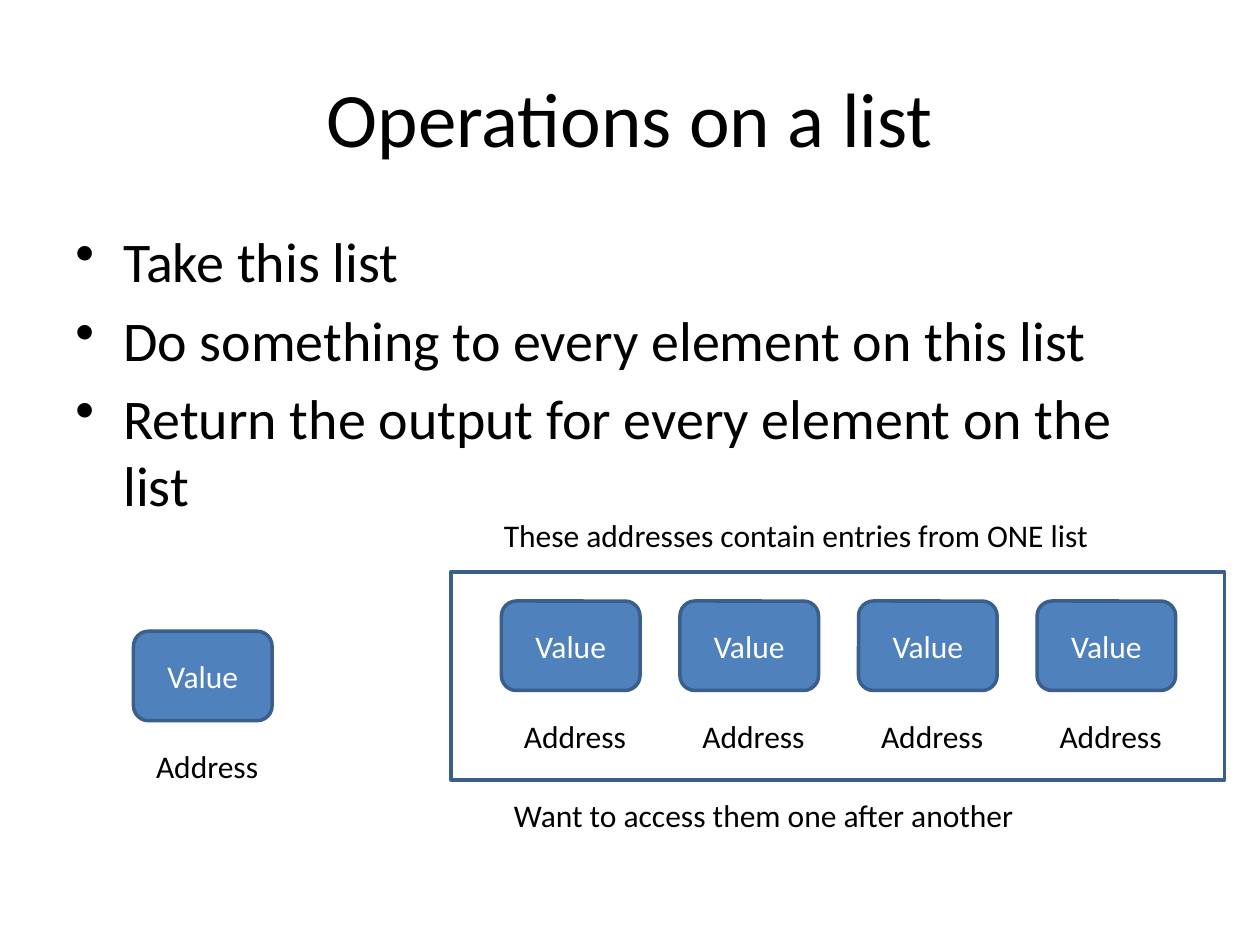
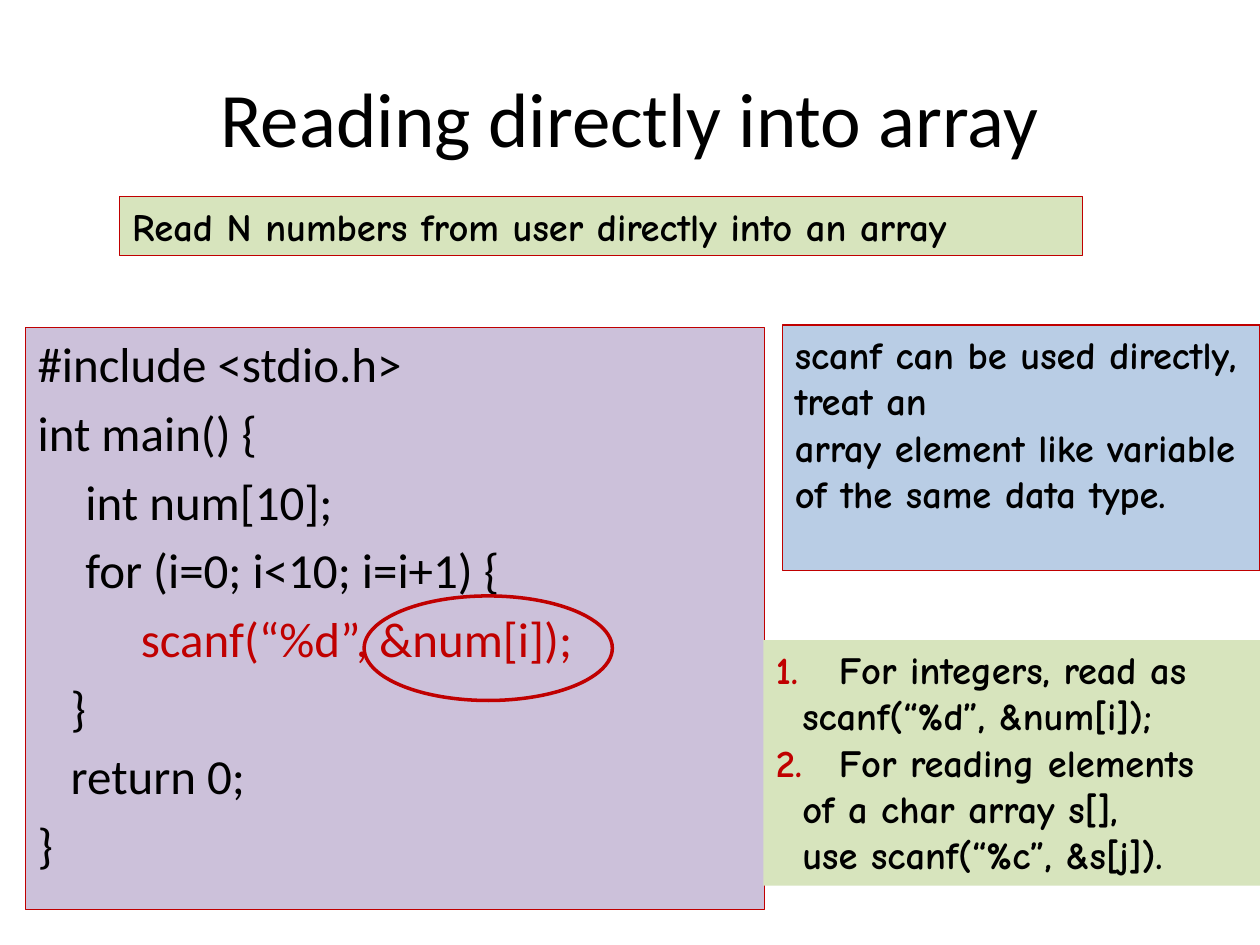
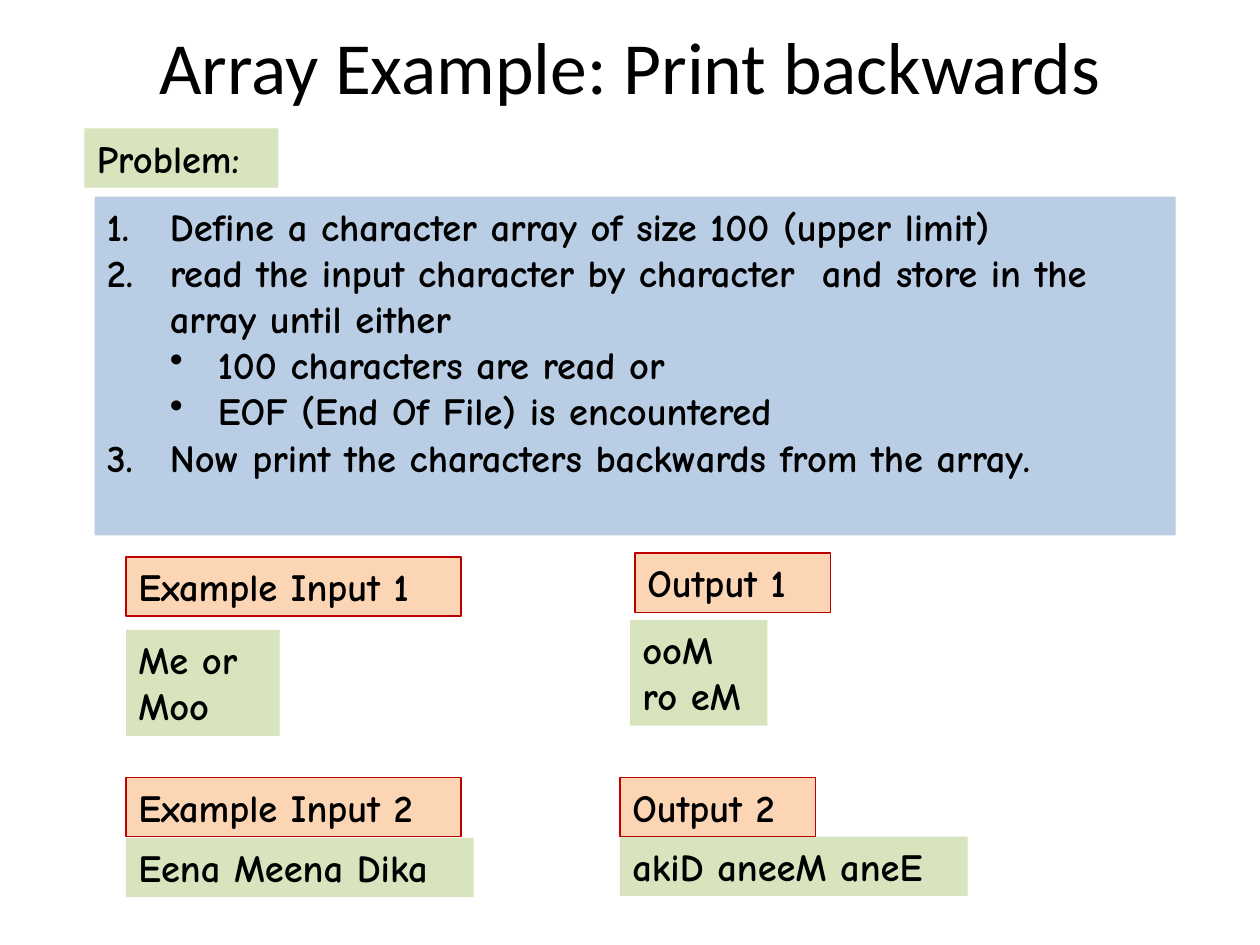
from lxml import etree
from pptx import Presentation
from pptx.dml.color import RGBColor
from pptx.enum.shapes import MSO_SHAPE
from pptx.enum.text import MSO_ANCHOR, PP_ALIGN
from pptx.oxml.ns import qn
from pptx.util import Inches, Pt

RECT, ROUND, OVAL = MSO_SHAPE.RECTANGLE, MSO_SHAPE.ROUNDED_RECTANGLE, MSO_SHAPE.OVAL
TOP, MIDDLE = MSO_ANCHOR.TOP, MSO_ANCHOR.MIDDLE
LEFT, CENTER = PP_ALIGN.LEFT, PP_ALIGN.CENTER

BLACK = RGBColor(0x00, 0x00, 0x00)
WHITE = RGBColor(0xFF, 0xFF, 0xFF)
BLUE = RGBColor(0x4F, 0x81, 0xBD)
NAVY = RGBColor(0x3A, 0x5F, 0x8C)
RED = RGBColor(0xC0, 0x00, 0x00)
GREEN = RGBColor(0xD7, 0xE4, 0xBD)
SKY = RGBColor(0xB9, 0xCD, 0xE5)
PEACH = RGBColor(0xFC, 0xD5, 0xB5)
LILAC = RGBColor(0xCC, 0xC1, 0xDA)

PLAIN, COMIC = "Calibri", "Comic Neue"
HANG = 0.38
STEP = 0.5


def write(shape, lines, size, font=PLAIN, color=BLACK, align=LEFT, anchor=TOP):
    """Fill a shape with lines of text in one style."""
    frame = shape.text_frame
    frame.word_wrap = True
    frame.vertical_anchor = anchor
    frame.text = "\n".join(lines)
    for para in frame.paragraphs:
        para.alignment = align
        for run in para.runs:
            run.font.size = Pt(size)
            run.font.name = font
            run.font.bold = font == COMIC
            run.font.color.rgb = color
    return frame.paragraphs


def indent(para, margin, first=0):
    """Set the left margin and first-line indent in inches."""
    props = para._p.get_or_add_pPr()
    props.set("marL", str(Inches(margin)))
    props.set("indent", str(Inches(first)))
    return props


def bullet(para, margin, hang):
    """Give a paragraph a round bullet."""
    props = indent(para, margin, -hang)
    etree.SubElement(props, qn("a:buChar"), char="•")


def number(para, start=1, color=None):
    """Give a paragraph an automatic number."""
    props = indent(para, STEP, -STEP)
    if color is not None:
        tint = etree.SubElement(props, qn("a:buClr"))
        etree.SubElement(tint, qn("a:srgbClr"), val=str(color))
    auto = etree.SubElement(props, qn("a:buAutoNum"), type="arabicPeriod")
    if start > 1:
        auto.set("startAt", str(start))


def spread(paras, size):
    """Put a fifth of the text size between paragraphs."""
    for para in paras[1:]:
        para.space_before = Pt(size * 0.2)


def shape(slide, kind, box, fill=None, line=None, width=0.75):
    """Draw a flat preset shape."""
    item = slide.shapes.add_shape(kind, *map(Inches, box))
    item.shadow.inherit = False
    if fill is None:
        item.fill.background()
    else:
        item.fill.solid()
        item.fill.fore_color.rgb = fill
    if line is None:
        item.line.fill.background()
    else:
        item.line.color.rgb = line
        item.line.width = Pt(width)
    return item


def label(slide, box, lines, size=18, **style):
    """Add a text box without fill."""
    return write(slide.shapes.add_textbox(*map(Inches, box)), lines, size, **style)


def note(slide, box, lines, fill, line=None):
    """Add a coloured note in the comic font."""
    return write(shape(slide, RECT, box, fill, line), lines, 22, COMIC)


def title(slide, text, box=(0.5, 0.3, 9, 1.25), size=44):
    """Add the slide title."""
    label(slide, box, [text], size, align=CENTER, anchor=MIDDLE)


def cell(slide, left, top):
    """Draw a memory cell with its address below."""
    item = shape(slide, ROUND, (left, top, 1.1, 0.71), BLUE, NAVY, 2)
    write(item, ["Value"], 18, color=WHITE, align=CENTER, anchor=MIDDLE)
    label(slide, (left + 0.08, top + 0.87, 1.1, 0.4), ["Address"])


def memory(slide, left, top):
    """Frame four neighbouring cells between two captions."""
    for i in range(4):
        cell(slide, left + 0.4 + i * 1.417, top + 0.23)
    shape(slide, RECT, (left, top, 6.14, 1.65), line=NAVY, width=2)
    label(slide, (left + 0.32, top - 0.49, 5.35, 0.4),
          ["These addresses contain entries from ONE list"])
    label(slide, (left + 0.4, top + 1.73, 5.35, 0.4),
          ["Want to access them one after another"])


def code(slide, left, top):
    """Show the program and circle its array element."""
    lines = [
        "#include <stdio.h>",
        "int main() {",
        "\tint num[10];",
        "\tfor (i=0; i<10; i=i+1) {",
        "\t     scanf(“%d”, &num[i]);",
        "   }",
        "   return 0;",
        "}",
    ]
    panel = shape(slide, RECT, (left, top, 5.87, 4.62), LILAC, RED)
    paras = write(panel, lines, 28)
    for para in paras:
        indent(para, HANG, -HANG)
    spread(paras, 28)
    paras[4].runs[0].font.color.rgb = RED
    shape(slide, OVAL, (left + 2.69, top + 2.13, 1.97, 0.83), line=RED, width=2)


def tips(slide, box):
    """List how to read each type, with red numbers."""
    paras = note(slide, box, [
        "For integers, read as",
        "scanf(“%d”, &num[i]);",
        "For reading elements",
        "of a char array s[],",
        "use scanf(“%c”, &s[j]).",
    ], GREEN)
    starts = {0: 1, 2: 2}
    for i, para in enumerate(paras):
        if i in starts:
            number(para, starts[i], RED)
        else:
            indent(para, 0.21)


def task(slide, left, top):
    """State the problem as numbered steps."""
    note(slide, (left, top, 1.54, 0.47), ["Problem:"], GREEN)
    paras = note(slide, (left + 0.08, top + 0.54, 8.58, 2.69), [
        "Define a character array of size 100 (upper limit)",
        "read the input character by character  and store in the array until either",
        "100 characters are read or",
        "EOF (End Of File) is encountered",
        "Now print the characters backwards from the array.",
    ], SKY)
    for i, para in enumerate(paras):
        if i in (2, 3):
            para.level = 1
            bullet(para, STEP + HANG, HANG)
        else:
            number(para)


def sample(slide, head, head_box, lines, body_box):
    """Show a framed heading with its sample text."""
    note(slide, body_box, lines, GREEN)
    note(slide, head_box, [head], PEACH, RED)


def lists(slide):
    """Build the slide on list operations."""
    title(slide, "Operations on a list")
    paras = label(slide, (0.5, 1.75, 9, 4.95), [
        "Take this list",
        "Do something to every element on this list",
        "Return the output for every element on the list",
    ], 32)
    for para in paras:
        bullet(para, HANG, HANG)
    spread(paras, 32)
    cell(slide, 1.06, 5.01)
    memory(slide, 3.58, 4.54)


def reading(slide):
    """Build the slide on reading into an array."""
    title(slide, "Reading directly into array")
    code(slide, 0.2, 2.6)
    note(slide, (0.95, 1.56, 7.64, 0.47),
         ["Read N numbers from user directly into an array"], GREEN, RED)
    note(slide, (6.21, 2.58, 3.79, 1.95), [
        "scanf can be used directly, treat an",
        "array element like variable of the same data type.",
    ], SKY, RED)
    tips(slide, (6.06, 5.08, 3.94, 1.95))


def reverse(slide):
    """Build the slide on printing backwards."""
    title(slide, "Array Example: Print backwards", (0, 0.05, 10, 0.94), 42)
    task(slide, 0.67, 1.02)
    sample(slide, "Example Input 1", (1, 4.42, 2.66, 0.47),
           ["Me or", "Moo"], (1, 5, 1.22, 0.84))
    sample(slide, "Output 1", (5.04, 4.39, 1.55, 0.47),
           ["ooM", "ro eM"], (5, 4.92, 1.09, 0.84))
    sample(slide, "Example Input 2", (1, 6.17, 2.66, 0.47),
           ["Eena Meena Dika"], (1, 6.65, 2.76, 0.47))
    sample(slide, "Output 2", (4.92, 6.17, 1.55, 0.47),
           ["akiD aneeM aneE"], (4.92, 6.64, 2.76, 0.47))


def main():
    """Build and save the deck."""
    deck = Presentation()
    deck.slide_width, deck.slide_height = Inches(10), Inches(7.5)
    for build in (lists, reading, reverse):
        build(deck.slides.add_slide(deck.slide_layouts[6]))
    deck.save("out.pptx")


if __name__ == "__main__":
    main()
